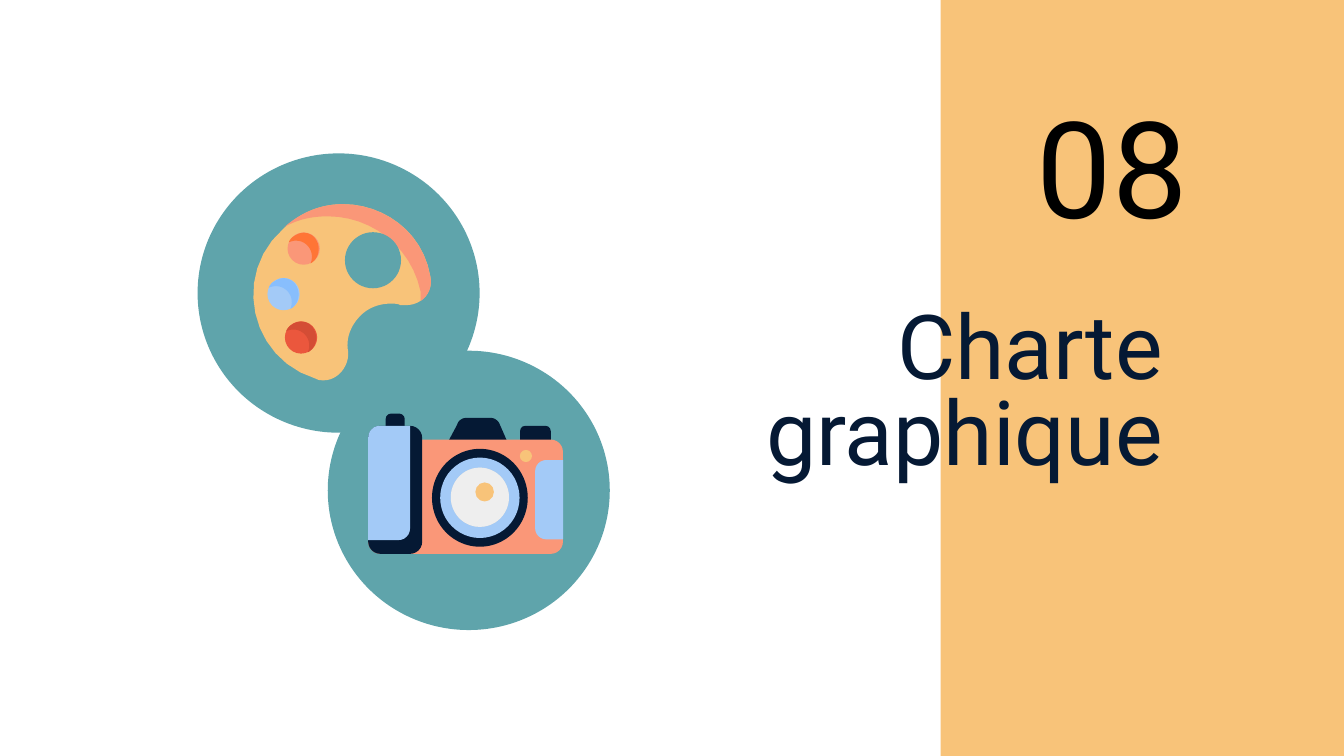
"""Build the section slide "08 Charte graphique" with its palette and camera icons."""
from pptx import Presentation
from pptx.dml.color import RGBColor
from pptx.enum import shapes, text
from pptx import util as u

THEME = {
    "font": "Roboto", "number_size": 72, "title_size": 48,
    "black": "000000", "navy": "051934", "sand": "F8C379", "teal": "5FA4AB",
    "coral": "FA9778", "orange": "FF7536", "red": "EB573D", "dark_red": "D44D35",
    "sky": "A3CAF7", "blue": "88BEFD", "silver": "C7D2D9", "pale": "EEEEEE",
}
WIDTH, HEIGHT, BAND_LEFT = 25.4, 14.29, 17.78
KIND = shapes.MSO_SHAPE

TEXTS = [
    {"words": "Charte graphique", "box": (9.4, 5.54, 12.83, 3.91), "size": "title_size",
     "color": "navy", "spacing": 0.8,
     "frame": {"word_wrap": True, "vertical_anchor": text.MSO_ANCHOR.MIDDLE,
               "margin_top": u.Cm(0.25), "margin_bottom": u.Cm(0.25)}},
    {"words": "08", "box": (18.97, 1.47, 3.73, 3.33), "size": "number_size",
     "color": "black", "spacing": 1.0,
     "frame": {"word_wrap": False, "auto_size": text.MSO_AUTO_SIZE.SHAPE_TO_FIT_TEXT}},
]

BADGES = [(6.4, 5.54, 5.33, 5.28, "teal"), (8.86, 9.27, 5.33, 5.28, "teal")]

PALETTE_BODY = [
    [(6.48, 3.86)],
    [(6.07, 3.86), (5.69, 4.01), (5.36, 4.32)],
    [(4.37, 5.18), (4.72, 6.78), (5.97, 7.16)],
    [(6.02, 7.19), (6.07, 7.19), (6.12, 7.19)],
    [(6.38, 7.19), (6.6, 6.93), (6.58, 6.65)],
    [(6.53, 6.4), (6.63, 6.15), (6.81, 5.97)],
    [(6.96, 5.82), (7.16, 5.74), (7.39, 5.74)],
    [(7.44, 5.74), (7.52, 5.74), (7.57, 5.77)],
    [(7.62, 5.77), (7.65, 5.77), (7.67, 5.77)],
    [(7.98, 5.77), (8.2, 5.51), (8.13, 5.21)],
    [(7.98, 4.37), (7.24, 3.86), (6.48, 3.86)],
]
PALETTE_EDGE = [
    [(6.48, 3.86)],
    [(6.1, 3.86), (5.72, 3.99), (5.38, 4.29)],
    [(5.64, 4.14), (5.92, 4.09), (6.2, 4.09)],
    [(7.01, 4.09), (7.77, 4.65), (7.95, 5.51)],
    [(7.95, 5.56), (7.95, 5.64), (7.95, 5.69)],
    [(8.1, 5.59), (8.18, 5.41), (8.13, 5.21)],
    [(7.98, 4.37), (7.24, 3.86), (6.48, 3.86)],
]
PAINT_SHADE = [
    [(0, -0.3)],
    [(-0.08, -0.3), (-0.15, -0.26), (-0.22, -0.21)],
    [(-0.25, -0.18), (-0.27, -0.15), (-0.28, -0.12)],
    [(-0.23, -0.14), (-0.19, -0.15), (-0.14, -0.15)],
    [(0.06, -0.15), (0.22, 0.06), (0.13, 0.28)],
    [(0.28, 0.2), (0.34, -0.02), (0.22, -0.19)],
    [(0.17, -0.26), (0.08, -0.3), (0, -0.3)],
]
PAINTS = [(5.69, 6.38, "red", "dark_red"), (5.36, 5.56, "sky", "blue"),
          (5.74, 4.7, "coral", "orange")]
PAINT_SIZE = 0.61
THUMB_HOLE = (7.05, 4.92, 1.06, 1.06, "teal")

VIEWFINDER = [
    [(8.81, 7.9)],
    [(8.74, 7.9), (8.66, 7.95), (8.64, 8.03)],
    [(8.48, 8.33)], [(9.58, 8.33)], [(9.45, 8.03)],
    [(9.42, 7.95), (9.35, 7.9), (9.27, 7.9)],
]
CAMERA_BLOCKS = [
    (KIND.ROUND_2_SAME_RECTANGLE, (9.83, 8.05, 0.58, 0.33), 0.1, 0, "navy"),
    (KIND.ROUNDED_RECTANGLE, (6.96, 8.31, 3.68, 2.16), 0.23, 0, "coral"),
    (KIND.ROUND_2_SAME_RECTANGLE, (9.63, 9.18, 1.5, 0.53), 0.21, 270, "sky"),
    (KIND.ROUNDED_RECTANGLE, (7.29, 7.82, 0.36, 0.33), 0.1, 0, "navy"),
    (KIND.ROUNDED_RECTANGLE, (6.96, 8.05, 1.02, 2.42), 0.23, 0, "navy"),
    (KIND.ROUND_2_DIAG_RECTANGLE, (6.96, 8.05, 0.79, 2.16), 0.22, 0, "sky"),
]
CAMERA_DISCS = [
    (9.07, 9.41, 1.81, 1.85, "navy"), (9.07, 9.41, 1.5, 1.52, "sky"),
    (9.07, 9.4, 1.1, 1.12, "silver"), (9.07, 9.4, 1.1, 1.12, "pale"),
    (9.16, 9.3, 0.35, 0.36, "sand"), (9.94, 8.62, 0.23, 0.23, "sand"),
]


def color(name):
    return RGBColor.from_string(THEME[name])


def paint(shape, name):
    shape.shadow.inherit = False
    shape.fill.solid()
    shape.fill.fore_color.rgb = color(name)
    shape.line.fill.background()


def add_block(parent, kind, box, radius, rotation, name):
    shape = parent.add_shape(kind, *map(u.Cm, box))
    if radius:
        shape.adjustments[0] = radius / min(box[2:])
    shape.rotation = rotation
    paint(shape, name)


def add_disc(parent, x, y, width, height, name):
    add_block(parent, KIND.OVAL, (x - width / 2, y - height / 2, width, height), 0, 0, name)


def curve_points(start, controls, steps=12):
    corners = [start, *controls]
    for step in range(1, steps + 1):
        t = step / steps
        weights = ((1 - t) ** 3, 3 * t * (1 - t) ** 2, 3 * t * t * (1 - t), t ** 3)
        yield tuple(sum(w * corner[axis] for w, corner in zip(weights, corners))
                    for axis in (0, 1))


def add_outline(parent, pieces, name, x=0, y=0):
    points = list(pieces[0])
    for piece in pieces[1:]:
        points.extend(curve_points(points[-1], piece) if len(piece) == 3 else piece)
    lengths = [(u.Cm(x + px), u.Cm(y + py)) for px, py in points]
    builder = parent.build_freeform(*lengths[0])
    builder.add_line_segments(lengths[1:], close=True)
    paint(builder.convert_to_shape(), name)


def add_palette(parent):
    add_outline(parent, PALETTE_BODY, "sand")
    add_outline(parent, PALETTE_EDGE, "coral")
    add_disc(parent, *THUMB_HOLE)
    for x, y, base, shade in PAINTS:
        add_disc(parent, x, y, PAINT_SIZE, PAINT_SIZE, base)
        add_outline(parent, PAINT_SHADE, shade, x, y)


def add_camera(parent):
    add_outline(parent, VIEWFINDER, "navy")
    for block in CAMERA_BLOCKS:
        add_block(parent, *block)
    for disc in CAMERA_DISCS:
        add_disc(parent, *disc)


def add_words(slide, item):
    frame = slide.shapes.add_textbox(*map(u.Cm, item["box"])).text_frame
    for attribute, value in item["frame"].items():
        setattr(frame, attribute, value)
    paragraph = frame.paragraphs[0]
    paragraph.alignment = text.PP_ALIGN.RIGHT
    paragraph.line_spacing = item["spacing"]
    run = paragraph.add_run()
    run.text = item["words"]
    for attribute, value in {"name": THEME["font"], "size": u.Pt(THEME[item["size"]])}.items():
        setattr(run.font, attribute, value)
    run.font.color.rgb = color(item["color"])


def main():
    presentation = Presentation()
    presentation.slide_width, presentation.slide_height = u.Cm(WIDTH), u.Cm(HEIGHT)
    slide = presentation.slides.add_slide(presentation.slide_layouts[6])
    band = (BAND_LEFT, 0, WIDTH - BAND_LEFT, HEIGHT)
    add_block(slide.shapes, KIND.RECTANGLE, band, 0, 0, "sand")
    for badge in BADGES:
        add_disc(slide.shapes, *badge)
    for add_icon in (add_palette, add_camera):
        add_icon(slide.shapes.add_group_shape().shapes)
    for item in TEXTS:
        add_words(slide, item)
    presentation.save("out.pptx")


if __name__ == "__main__":
    main()
